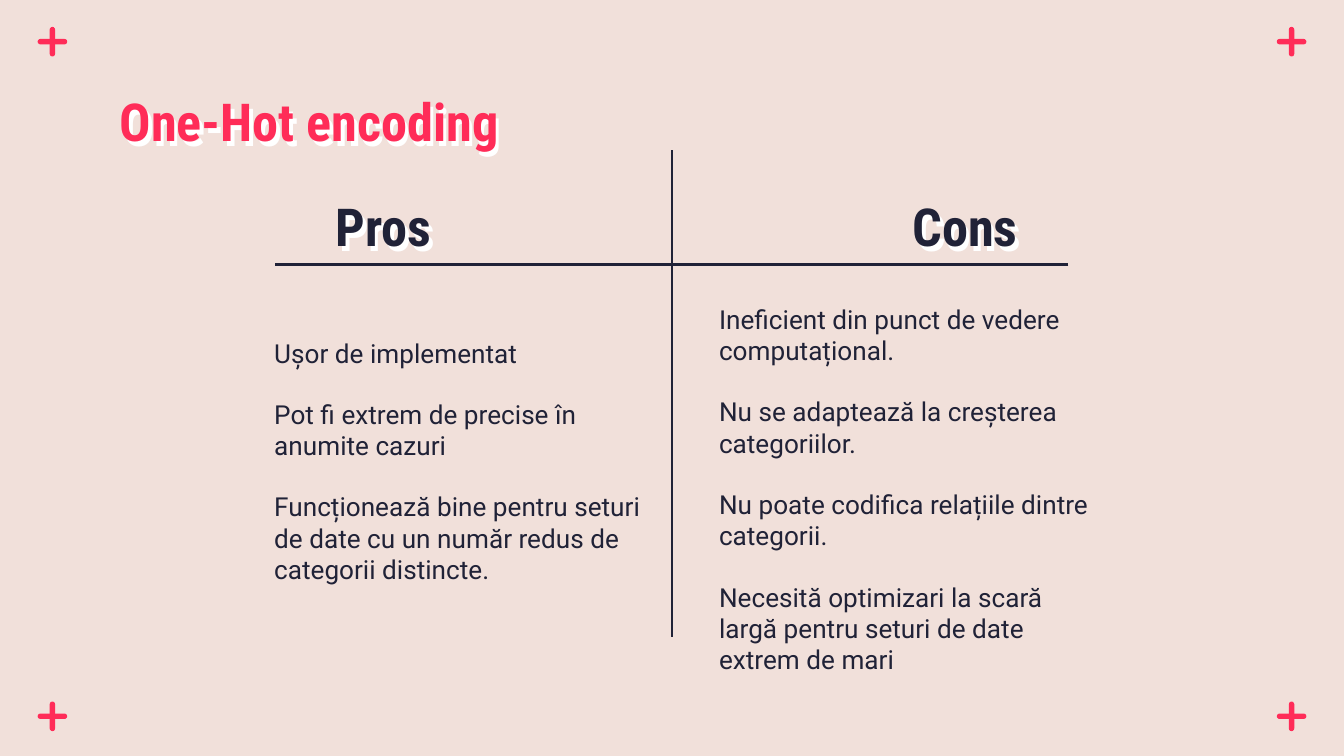
from lxml import etree
from pptx import Presentation
from pptx.dml.color import RGBColor
from pptx.enum import shapes, text
from pptx.oxml import ns
from pptx.util import Inches, Pt

SAND = RGBColor(0xF1, 0xE0, 0xDA)
RED = RGBColor(0xFF, 0x2C, 0x58)
NAVY = RGBColor(0x20, 0x22, 0x37)
WHITE = RGBColor(0xFF, 0xFF, 0xFF)

PROS = [
    "Ușor de implementat",
    "Pot fi extrem de precise în anumite cazuri",
    "Funcționează bine pentru seturi de date cu un număr redus de categorii distincte.",
]
CONS = [
    "Ineficient din punct de vedere computațional.",
    "Nu se adaptează la creșterea categoriilor.",
    "Nu poate codifica relațiile dintre categorii.",
    "Necesită optimizari la scară largă pentru seturi de date extrem de mari",
]


def add_text(paragraph, content, *, font, size, color, bold=False,
             align=text.PP_ALIGN.LEFT, before=0, after=0):
    paragraph.alignment = align
    paragraph.line_spacing = 1.0
    paragraph.space_before = Pt(before)
    paragraph.space_after = Pt(after)
    props = paragraph._p.get_or_add_pPr()
    props.set("marL", "0")
    props.set("indent", "0")
    etree.SubElement(props, ns.qn("a:buNone"))
    run = paragraph.add_run()
    run.text = content
    run.font.name = font
    run.font.size = Pt(size)
    run.font.bold = bold
    run.font.color.rgb = color


class ProsConsSlide:
    heading_style = dict(font="Roboto Condensed", size=28, bold=True)
    list_style = dict(font="Roboto", size=14, color=NAVY)

    def __init__(self, deck):
        self.slide = deck.slides.add_slide(deck.slide_layouts[4])
        self.slide.background.fill.solid()
        self.slide.background.fill.fore_color.rgb = SAND

    def place(self, idx, left, top, width, height):
        holder = self.slide.placeholders[idx]
        holder.left, holder.top = Inches(left), Inches(top)
        holder.width, holder.height = Inches(width), Inches(height)
        frame = holder.text_frame
        frame.word_wrap = True
        frame.auto_size = text.MSO_AUTO_SIZE.NONE
        frame.vertical_anchor = text.MSO_ANCHOR.MIDDLE
        frame.margin_left = frame.margin_right = Inches(0.1)
        frame.margin_top = frame.margin_bottom = Inches(0.1)
        return holder

    def heading(self, idx, content, box, color=NAVY, align=text.PP_ALIGN.LEFT):
        holder = self.place(idx, *box)
        add_text(holder.text_frame.paragraphs[0], content, color=color, align=align,
                 **self.heading_style)
        effects = etree.SubElement(holder._element.spPr, ns.qn("a:effectLst"))
        shadow = etree.SubElement(effects, ns.qn("a:outerShdw"), dist=str(Pt(3)),
                                  dir="3120000", algn="bl", rotWithShape="0")
        etree.SubElement(shadow, ns.qn("a:srgbClr"), val=str(WHITE))

    def points(self, idx, items, box):
        frame = self.place(idx, *box).text_frame
        for number, item in enumerate(items):
            paragraph = frame.add_paragraph() if number else frame.paragraphs[0]
            add_text(paragraph, item, before=16 if number else 0,
                     after=16 if item == items[-1] else 0, **self.list_style)

    def rule(self, start, end):
        rule = self.slide.shapes.add_connector(
            shapes.MSO_CONNECTOR.STRAIGHT, *map(Inches, start + end))
        rule.line.color.rgb = NAVY
        rule.line.width = Pt(1.5)
        etree.SubElement(rule._element.spPr, ns.qn("a:effectLst"))

    def plus(self, x, y, length=0.22, thickness=0.04):
        for width, height in ((length, thickness), (thickness, length)):
            bar = self.slide.shapes.add_shape(
                shapes.MSO_SHAPE.ROUNDED_RECTANGLE,
                Inches(x - width / 2), Inches(y - height / 2), Inches(width), Inches(height))
            bar.adjustments[0] = 0.5
            bar.fill.solid()
            bar.fill.fore_color.rgb = RED
            bar.line.fill.background()
            bar.shadow.inherit = False


def main():
    deck = Presentation()
    deck.slide_width = Inches(10)
    deck.slide_height = deck.slide_width * 9 // 16
    page = ProsConsSlide(deck)

    for y in (0.31, 5.33):
        for x in (0.39, 9.61):
            page.plus(x, y)

    page.heading(0, "One-Hot encoding", (0.79, 0.59, 8.43, 0.62), color=RED)
    page.heading(1, "Pros", (0.79, 1.39, 2.52, 0.58), align=text.PP_ALIGN.RIGHT)
    page.heading(3, "Cons", (6.69, 1.39, 2.52, 0.58))
    page.rule((5, 1.12), (5, 4.74))
    page.rule((7.95, 1.97), (2.05, 1.97))
    page.points(2, PROS, (1.94, 2.26, 3.06, 2.34))
    page.points(4, CONS, (5.25, 2.47, 3.06, 2.34))

    deck.save("out.pptx")


if __name__ == "__main__":
    main()
